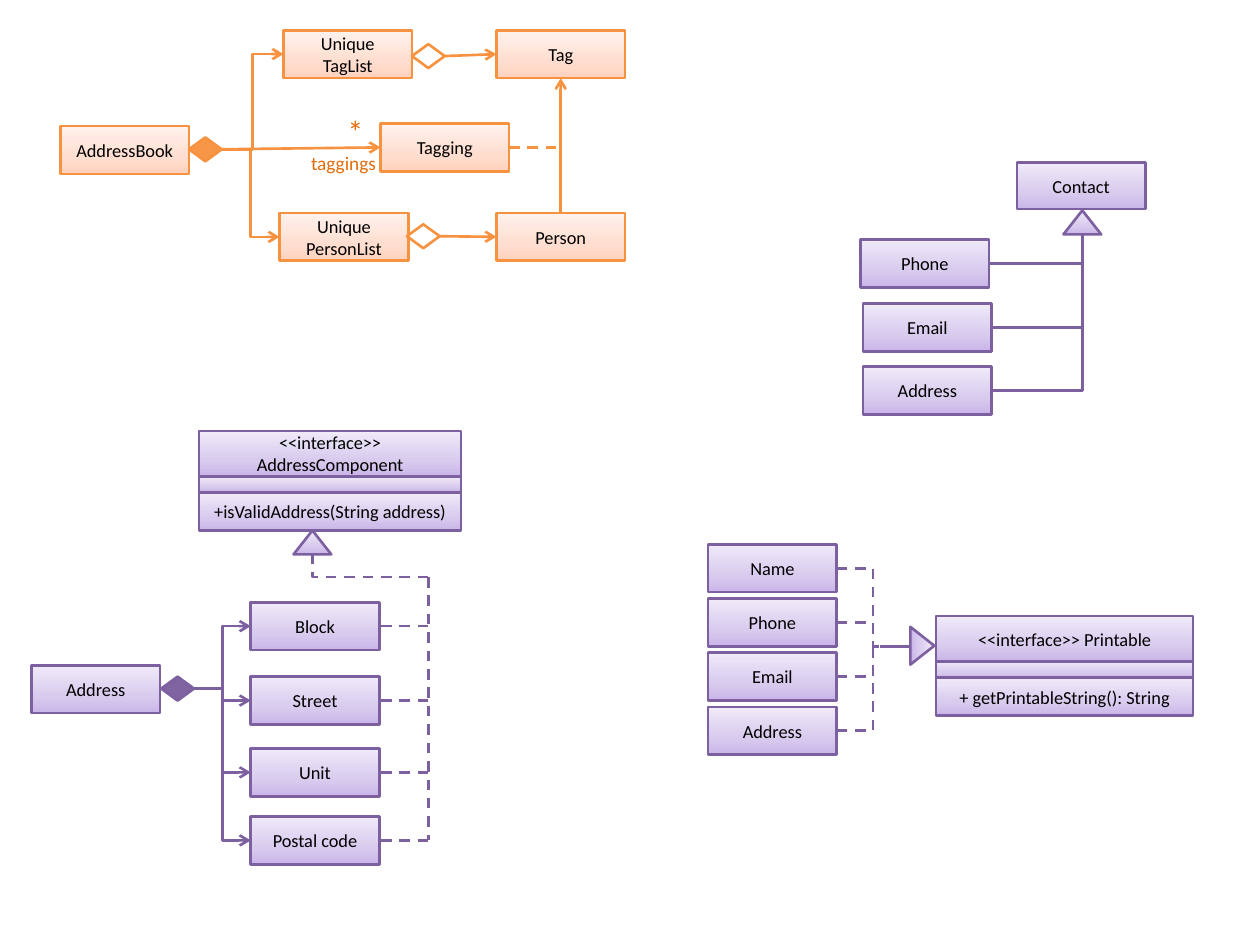
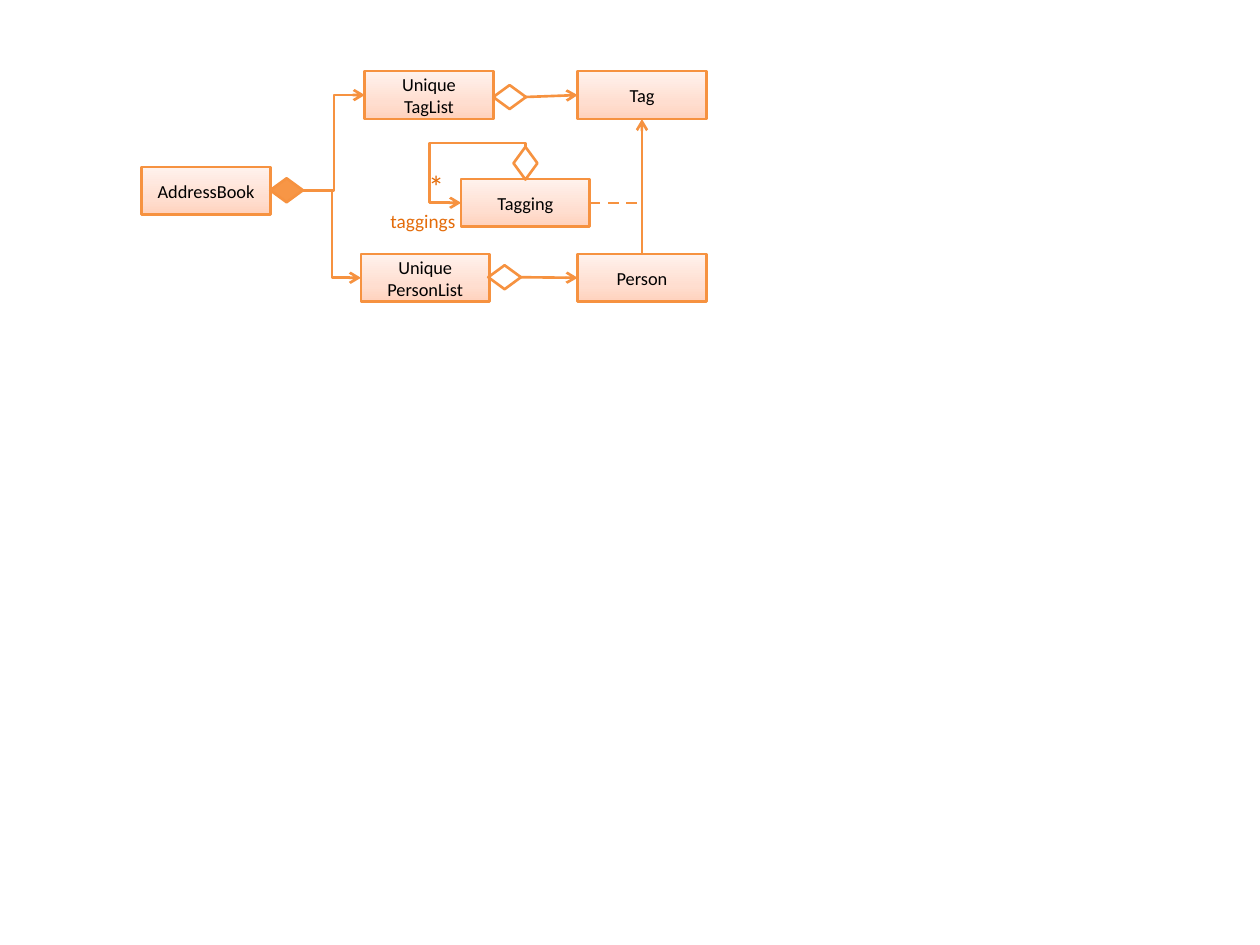
from copy import deepcopy

from lxml import etree
from pptx import Presentation
from pptx.dml.color import RGBColor
from pptx.enum.dml import MSO_LINE
from pptx.enum.shapes import MSO_CONNECTOR, MSO_SHAPE
from pptx.enum.text import MSO_ANCHOR, PP_ALIGN
from pptx.oxml.ns import qn
from pptx.util import Inches, Pt

RECT = MSO_SHAPE.RECTANGLE
TRIANGLE = MSO_SHAPE.ISOSCELES_TRIANGLE
DIAMOND = MSO_SHAPE.FLOWCHART_DECISION
STRAIGHT, ELBOW = MSO_CONNECTOR.STRAIGHT, MSO_CONNECTOR.ELBOW
DASH = MSO_LINE.DASH
CENTER, MIDDLE = PP_ALIGN.CENTER, MSO_ANCHOR.MIDDLE
TOP, LEFT, BOTTOM, RIGHT = range(4)
TRIANGLE_BASE = 3

THEME = {
    "font": "Calibri",
    "box_size": 10.5,
    "line_width": 1.5,
    "text": "000000",
    "label": "E46C0A",
    "purple": {"line": "7D60A0", "solid": "8064A2", "stops": ["C9B5E8", "D8CBEE", "F0EAF9"]},
    "orange": {"line": "F69240", "solid": "F79646", "stops": ["FFD2BD", "FFDED0", "FFF2ED"]},
}
PURPLE, ORANGE = THEME["purple"], THEME["orange"]
BOX_W, BOX_H = 1.02, 0.38
DIAMOND_SIZE = (0.26, 0.19)
TRIANGLE_SIZE = (0.3, 0.19)


def node(slide, palette, left, top, text="", size=(BOX_W, BOX_H), preset=RECT, fill="gradient"):
    shape = slide.shapes.add_shape(preset, Inches(left), Inches(top), Inches(size[0]), Inches(size[1]))
    shape.shadow.inherit = False
    shape.line.color.rgb = RGBColor.from_string(palette["line"])
    shape.line.width = Pt(THEME["line_width"])
    if fill == "gradient":
        shape.fill.gradient()
        shape.fill.gradient_angle = 90
        first_stop = next(shape._element.spPr.iter(qn("a:gs")))
        first_stop.addnext(deepcopy(first_stop))
        for stop, position, color in zip(shape.fill.gradient_stops, (0, 0.35, 1), palette["stops"]):
            stop.position = position
            stop.color.rgb = RGBColor.from_string(color)
    elif fill == "solid":
        shape.fill.solid()
        shape.fill.fore_color.rgb = RGBColor.from_string(palette["solid"])
    else:
        shape.fill.background()
    if text:
        frame = shape.text_frame
        frame.word_wrap = True
        frame.vertical_anchor = MIDDLE
        paragraph = frame.paragraphs[0]
        paragraph.text = text
        paragraph.alignment = CENTER
        for run in paragraph.runs:
            run.font.name = THEME["font"]
            run.font.size = Pt(THEME["box_size"])
            run.font.color.rgb = RGBColor.from_string(THEME["text"])
    return shape


def link(slide, palette, begin, end, kind=STRAIGHT, arrow=None, dashed=False, bend=None):
    line = slide.shapes.add_connector(kind, 0, 0, 0, 0)
    if isinstance(begin[0], float):
        line.begin_x, line.begin_y = Inches(begin[0]), Inches(begin[1])
    else:
        line.begin_connect(*begin)
    if isinstance(end[0], float):
        line.end_x, line.end_y = Inches(end[0]), Inches(end[1])
    else:
        line.end_connect(*end)
    line.line.color.rgb = RGBColor.from_string(palette["line"])
    line.line.width = Pt(THEME["line_width"])
    if dashed:
        line.line.dash_style = DASH
    properties = line._element.spPr
    if arrow:
        etree.SubElement(properties.find(qn("a:ln")), qn("a:" + arrow)).set("type", "arrow")
    if bend:
        properties.find(qn("a:prstGeom")).set("prst", bend)
    etree.SubElement(properties, qn("a:effectLst"))
    return line


prs = Presentation()
prs.slide_width, prs.slide_height = Inches(10), Inches(7.5)
blank = prs.slide_layouts[6]
overview = prs.slides.add_slide(blank)
alternative = prs.slides.add_slide(blank)

taggings = []
for slide, dx, dy, tagging_at, star_at, label_at in [
    (overview, 0, 0, (3.02, 0.98), (2.76, 0.84), (2.37, 1.15)),
    (alternative, 0.645, 0.325, (3.66, 1.42), (3.4, 1.28), (3.0, 1.61)),
]:
    address_book = node(slide, ORANGE, 0.48 + dx, 1 + dy, "AddressBook")
    tag_list = node(slide, ORANGE, 2.25 + dx, 0.24 + dy, "Unique\vTagList")
    person_list = node(slide, ORANGE, 2.22 + dx, 1.69 + dy, "Unique\vPersonList")
    person = node(slide, ORANGE, 3.94 + dx, 1.69 + dy, "Person")
    tag = node(slide, ORANGE, 3.94 + dx, 0.24 + dy, "Tag")
    owns = node(slide, ORANGE, 1.5 + dx, 1.09 + dy, size=DIAMOND_SIZE, preset=DIAMOND, fill="solid")
    for owned in (tag_list, person_list):
        link(slide, ORANGE, (owns, RIGHT), (owned, LEFT), ELBOW, "tailEnd")
    for left, top, item in [(3.27, 0.35, tag), (3.23, 1.78, person)]:
        holds = node(slide, ORANGE, left + dx, top + dy, size=DIAMOND_SIZE, preset=DIAMOND, fill="none")
        link(slide, ORANGE, (holds, RIGHT), (item, LEFT), arrow="tailEnd")
    tagging = node(slide, ORANGE, *tagging_at, "Tagging")
    taggings.append(tagging)
    link(slide, ORANGE, (person, TOP), (tag, BOTTOM), arrow="tailEnd")
    link(slide, ORANGE, (tagging, RIGHT), (4.45 + dx, tagging_at[1] + BOX_H / 2), dashed=True)
    if slide is overview:
        link(slide, ORANGE, (owns, RIGHT), (tagging, LEFT), arrow="tailEnd")

    for text, (left, top), width, height, size in [
        ("*", star_at, 0.1, 0.4, 18),
        ("taggings", label_at, 0.85, 0.29, 11),
    ]:
        label = slide.shapes.add_textbox(Inches(left), Inches(top), Inches(width), Inches(height))
        frame = label.text_frame
        frame.word_wrap = text != "*"
        if text == "*":
            frame.margin_left = frame.margin_right = 0
        frame.text = text
        font = frame.paragraphs[0].runs[0].font
        font.name, font.size = THEME["font"], Pt(size)
        font.color.rgb = RGBColor.from_string(THEME["label"])

self_holds = node(alternative, ORANGE, 4.04, 1.2, size=DIAMOND_SIZE, preset=DIAMOND, fill="none")
self_holds.rotation = 270
self_link = link(alternative, ORANGE, (taggings[1], LEFT), (self_holds, RIGHT), ELBOW, "headEnd", bend="bentConnector4")
self_link.end_x, self_link.end_y = Inches(4.17), Inches(1.17)
guides = self_link._element.spPr.find(qn("a:prstGeom")).get_or_add_avLst()
for name, value in [("adj1", -49000), ("adj2", 108000)]:
    guide = etree.SubElement(guides, qn("a:gd"))
    guide.set("name", name)
    guide.set("fmla", f"val {value}")

address = node(overview, PURPLE, 0.25, 5.28, "Address")
consists = node(overview, PURPLE, 1.28, 5.37, size=DIAMOND_SIZE, preset=DIAMOND, fill="solid")
for text, top in [("Block", 4.78), ("Street", 5.37), ("Unit", 5.94), ("Postal code", 6.48)]:
    part = node(overview, PURPLE, 1.99, top, text)
    link(overview, PURPLE, (consists, RIGHT), (part, LEFT), ELBOW, "tailEnd")
    link(overview, PURPLE, (3.4, top + BOX_H / 2), (part, RIGHT), dashed=True)

for left, top, width, title, method in [
    (1.58, 3.42, 2.08, "<<interface>> AddressComponent", "+isValidAddress(String address)"),
    (7.43, 4.89, 2.04, "<<interface>> Printable", "+ getPrintableString(): String"),
]:
    for offset, height, text in [(0, 0.36, title), (0.36, 0.13, ""), (0.49, 0.3, method)]:
        node(overview, PURPLE, left, top + offset, text, (width, height))

realizes = node(overview, PURPLE, 2.33, 4.21, size=TRIANGLE_SIZE, preset=TRIANGLE)
realization = link(overview, PURPLE, (3.4, 4.58), (realizes, TRIANGLE_BASE), ELBOW, dashed=True, bend="bentConnector2")
realization.end_x, realization.end_y = Inches(2.48), Inches(4.4)
link(overview, PURPLE, (3.4, 4.58), (3.4, 6.67), dashed=True)

contact = node(overview, PURPLE, 8.07, 1.29, "Contact", (BOX_W, 0.37))
extends = node(overview, PURPLE, 8.44, 1.67, size=TRIANGLE_SIZE, preset=TRIANGLE)
for text, left, top in [("Phone", 6.83, 1.9), ("Email", 6.85, 2.41), ("Address", 6.85, 2.91)]:
    detail = node(overview, PURPLE, left, top, text)
    inheritance = link(overview, PURPLE, (detail, RIGHT), (extends, TRIANGLE_BASE), ELBOW, bend="bentConnector2")
    inheritance.end_x, inheritance.end_y = Inches(8.59), Inches(1.86)

prints = node(overview, PURPLE, 7.17, 5.03, size=TRIANGLE_SIZE, preset=TRIANGLE)
prints.rotation = 90
for row, text in enumerate(["Name", "Phone", "Email", "Address"]):
    printable = node(overview, PURPLE, 5.62, 4.32 + 0.43 * row, text)
    printing = link(overview, PURPLE, (printable, RIGHT), (prints, TRIANGLE_BASE), ELBOW, dashed=True)
    printing.end_x, printing.end_y = Inches(7.22), Inches(5.13)

prs.save("out.pptx")
